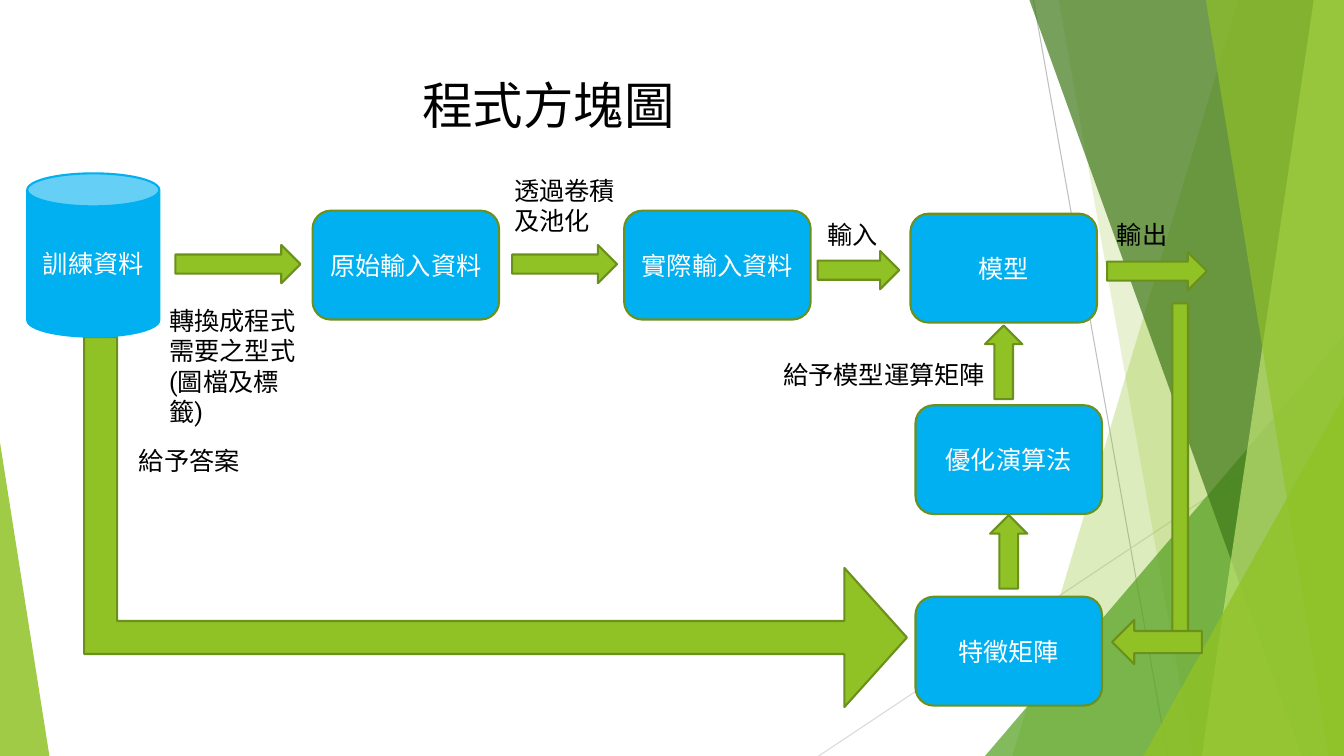
from lxml import etree
from pptx import Presentation
from pptx.dml.color import RGBColor
from pptx.enum import shapes, text
from pptx.oxml import ns
from pptx.util import Inches, Pt

FONT = "Roboto"
BLACK = RGBColor(0x00, 0x00, 0x00)
WHITE = RGBColor(0xFF, 0xFF, 0xFF)
BLUE = RGBColor(0x00, 0xB0, 0xF0)
GREEN = RGBColor(0x90, 0xC2, 0x26)
EDGE = RGBColor(0x6B, 0x90, 0x1C)
FOREST = RGBColor(0x54, 0xA0, 0x21)
DARK = RGBColor(0x3F, 0x78, 0x19)
LIME = RGBColor(0xC0, 0xE4, 0x74)
GREY = RGBColor(0xBF, 0xBF, 0xBF)
PALE_GREY = RGBColor(0xD9, 0xD9, 0xD9)
KIND = shapes.MSO_SHAPE
NODE_SIZE = (1.85, 1.08)


def write(shape, words, size, color, align):
    """Put one formatted paragraph into a shape."""
    frame = shape.text_frame
    frame.word_wrap = True
    frame.text = words
    paragraph = frame.paragraphs[0]
    paragraph.alignment = align
    paragraph.font.name = FONT
    paragraph.font.size = Pt(size)
    paragraph.font.color.rgb = color


def paint_glass(shape, color, opacity):
    """Give a shape a see-through fill without an outline."""
    shape.shadow.inherit = False
    shape.line.fill.background()
    shape.fill.solid()
    shape.fill.fore_color.rgb = color
    tint = shape.fill._xPr.find(ns.qn("a:solidFill"))[0]
    etree.SubElement(tint, ns.qn("a:alpha"), val=str(opacity * 1000))


def add_block(slide, kind, left, top, width, height, fill, edge):
    """Add a filled and outlined preset shape."""
    shape = slide.shapes.add_shape(kind, *map(Inches, (left, top, width, height)))
    shape.shadow.inherit = False
    shape.fill.solid()
    shape.fill.fore_color.rgb = fill
    shape.line.color.rgb = edge
    shape.line.width = Pt(1.5)
    return shape


def draw_backdrop(slide, left, top, width, height):
    """Draw the translucent facets along the sides of the box."""
    right, bottom = left + width, top + height

    def ray(x1, y1, x2, y2, color):
        """Add a thin line between two points of the box."""
        ends = map(Inches, (left + x1, top + y1, left + x2, top + y2))
        line = slide.shapes.add_connector(shapes.MSO_CONNECTOR.STRAIGHT, *ends)
        line.line.color.rgb = color
        line.line.width = Pt(0.75)
        etree.SubElement(line._element.spPr, ns.qn("a:effectLst"))

    def facet(top_inset, bottom_inset, color, opacity):
        """Add a full-height facet bounded by the right edge."""
        start, foot = right - top_inset, right - bottom_inset
        builder = slide.shapes.build_freeform(Inches(start), Inches(top), 1)
        corners = [(right, top), (right, bottom), (foot, bottom)]
        builder.add_line_segments([(Inches(x), Inches(y)) for x, y in corners])
        paint_glass(builder.convert_to_shape(), color, opacity)

    def wedge(x, wedge_width, wedge_height, apex, color, opacity):
        """Add a triangle standing on the bottom edge."""
        shape = slide.shapes.add_shape(
            KIND.ISOSCELES_TRIANGLE, Inches(x), Inches(bottom - wedge_height),
            Inches(wedge_width), Inches(wedge_height))
        shape.adjustments[0] = apex
        paint_glass(shape, color, opacity)

    ray(10.25, 0, 11.58, height, GREY)
    ray(width, 4.03, 8.12, height, PALE_GREY)
    facet(1.05, 3.29, GREEN, 30)
    facet(2.83, 1.5, GREEN, 20)
    wedge(right - 3.56, 3.56, 4.17, 1, FOREST, 72)
    facet(3.12, 0.42, DARK, 70)
    facet(0.3, 1.41, LIME, 70)
    facet(1.37, 0.15, GREEN, 65)
    wedge(right - 1.99, 1.99, 3.57, 1, GREEN, 80)
    wedge(left, 0.49, 3.11, 0, GREEN, 85)


def draw_title(slide, left, top, width, height):
    """Place and format the title."""
    title = slide.shapes.title
    title.left, title.top = Inches(left), Inches(top)
    title.width, title.height = Inches(width), Inches(height)
    title.text_frame.vertical_anchor = text.MSO_ANCHOR.MIDDLE
    write(title, "程式方塊圖", 36, BLACK, text.PP_ALIGN.CENTER)


def draw_flow(slide, left, top):
    """Draw the training flow from its top left corner."""
    answer_route = add_block(slide, KIND.BENT_UP_ARROW, left + 2.81, top - 0.59,
                             3.67, 8.16, GREEN, EDGE)
    answer_route.rotation = 90
    for index, value in enumerate((0.089, 0.188, 0.169)):
        answer_route.adjustments[index] = value

    nodes = [
        (KIND.CAN, 0, 0.03, (1.31, 1.62), BLUE, "訓練資料"),
        (KIND.ROUNDED_RECTANGLE, 2.83, 0.4, NODE_SIZE, EDGE, "原始輸入資料"),
        (KIND.ROUNDED_RECTANGLE, 5.92, 0.4, NODE_SIZE, EDGE, "實際輸入資料"),
        (KIND.ROUNDED_RECTANGLE, 8.76, 0.43, NODE_SIZE, EDGE, "模型"),
        (KIND.ROUNDED_RECTANGLE, 8.81, 2.33, NODE_SIZE, EDGE, "優化演算法"),
        (KIND.ROUNDED_RECTANGLE, 8.81, 4.23, NODE_SIZE, EDGE, "特徵矩陣"),
    ]
    for kind, x, y, size, edge, words in nodes:
        node = add_block(slide, kind, left + x, top + y, *size, BLUE, edge)
        node.text_frame.vertical_anchor = text.MSO_ANCHOR.MIDDLE
        write(node, words, 18, WHITE, text.PP_ALIGN.CENTER)

    arrows = [
        (KIND.RIGHT_ARROW, 1.47, 0.74, 1.24, 0.38),
        (KIND.RIGHT_ARROW, 4.81, 0.74, 1.04, 0.38),
        (KIND.RIGHT_ARROW, 7.84, 0.8, 0.81, 0.38),
        (KIND.RIGHT_ARROW, 10.71, 0.81, 0.99, 0.38),
        (KIND.UP_ARROW, 9.55, 3.42, 0.37, 0.73),
        (KIND.UP_ARROW, 9.5, 1.54, 0.37, 0.73),
        (KIND.DOWN_ARROW, 11.28, 1.32, 0.31, 3.45),
        (KIND.LEFT_ARROW, 10.76, 4.46, 0.89, 0.44),
    ]
    for kind, x, y, width, height in arrows:
        add_block(slide, kind, left + x, top + y, width, height, GREEN, EDGE)

    labels = [
        (4.73, 0, 1.27, 0.71, "透過卷積 及池化"),
        (7.84, 0.44, 0.81, 0.4, "輸入"),
        (10.71, 0.44, 0.81, 0.4, "輸出"),
        (1.01, 2.68, 1.52, 0.4, "給予答案"),
        (7.4, 1.83, 2.29, 0.4, "給予模型運算矩陣"),
        (1.31, 1.29, 1.6, 1.01, "轉換成程式需要之型式(圖檔及標籤)"),
    ]
    for x, y, width, height, words in labels:
        label = slide.shapes.add_textbox(
            *map(Inches, (left + x, top + y, width, height)))
        write(label, words, 18, BLACK, text.PP_ALIGN.LEFT)
        label.text_frame.auto_size = text.MSO_AUTO_SIZE.SHAPE_TO_FIT_TEXT


def main():
    """Build and save the presentation."""
    presentation = Presentation()
    presentation.slide_width = Inches(13.33)
    presentation.slide_height = Inches(7.5)
    slide = presentation.slides.add_slide(presentation.slide_layouts[5])
    draw_backdrop(slide, 0, 0, 13.33, 7.5)
    draw_title(slide, 0.74, 0.67, 9.4, 0.73)
    draw_flow(slide, 0.27, 1.69)
    presentation.save("out.pptx")


if __name__ == "__main__":
    main()
